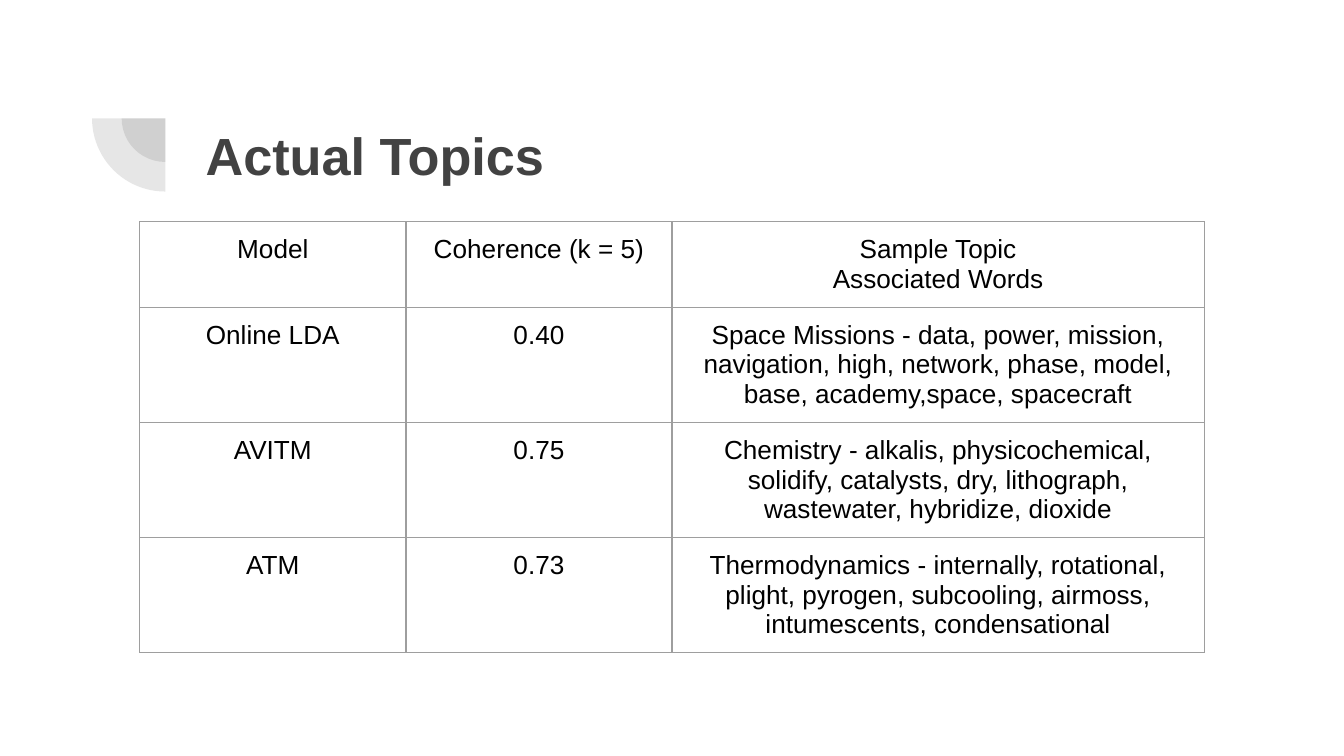
from dataclasses import dataclass

from lxml import etree
from pptx import Presentation
from pptx.dml.color import RGBColor
from pptx.enum.shapes import MSO_SHAPE
from pptx.enum.text import MSO_ANCHOR, PP_ALIGN
from pptx.oxml.ns import qn
from pptx.util import Inches, Pt

PIE = MSO_SHAPE.PIE
TOP = MSO_ANCHOR.TOP
LEFT, CENTER = PP_ALIGN.LEFT, PP_ALIGN.CENTER

SLIDE_W = Inches(10)
SLIDE_H = SLIDE_W * 9 // 16
TITLE_ONLY = 5
INSET = Inches(0.1)
MARGINS = {side: INSET for side in
           ("margin_left", "margin_right", "margin_top", "margin_bottom")}


@dataclass(frozen=True)
class Theme:
    font: str = "Arial"
    ink: str = "424242"
    body: str = "000000"
    border: str = "9E9E9E"
    border_pt: float = 0.75
    title_pt: int = 28
    body_pt: int = 14
    quadrant_alpha: int = 13


@dataclass(frozen=True)
class Quadrant:
    """Quarter disc, with centre and diameter in inches."""
    center_x: float
    center_y: float
    diameter: float


@dataclass(frozen=True)
class TopicRow:
    model: str
    coherence: str
    words: str


@dataclass(frozen=True)
class TableGrid:
    """Table place in inches; the last field spans two columns."""
    left: float = 1.04
    top: float = 1.65
    column: float = 1.98
    row: float = 0.42
    columns: int = 4


THEME = Theme()
GRID = TableGrid()
QUADRANTS = [Quadrant(1.23, 0.88, 0.65), Quadrant(1.23, 0.88, 1.09)]
TOPICS = [
    TopicRow("Model", "Coherence (k = 5)", "Sample Topic\nAssociated Words"),
    TopicRow("Online LDA", "0.40",
             "Space Missions - data, power, mission, navigation, high, network, "
             "phase, model, base, academy,space, spacecraft"),
    TopicRow("AVITM", "0.75",
             "Chemistry - alkalis, physicochemical, solidify, catalysts, dry, "
             "lithograph, wastewater, hybridize, dioxide"),
    TopicRow("ATM", "0.73",
             "Thermodynamics - internally, rotational, plight, pyrogen, "
             "subcooling, airmoss, intumescents, condensational"),
]


def apply(target, values: dict) -> None:
    for name, value in values.items():
        setattr(target, name, value)


def format_text(frame, size: int, color: str, bold: bool, align) -> None:
    for paragraph in frame.paragraphs:
        paragraph.alignment = align
        apply(paragraph.font, {"name": THEME.font, "size": Pt(size), "bold": bold})
        paragraph.font.color.rgb = RGBColor.from_string(color)


def draw_quadrant(slide, quadrant: Quadrant) -> None:
    size = Inches(quadrant.diameter)
    pie = slide.shapes.add_shape(
        PIE, Inches(quadrant.center_x) - size // 2,
        Inches(quadrant.center_y) - size // 2, size, size)
    # Angles count in 60000ths of a degree, scaled down by 100000
    pie.adjustments[0], pie.adjustments[1] = 180 * 0.6, 270 * 0.6
    pie.rotation = 270
    pie.shadow.inherit = False
    pie.line.fill.background()
    pie.fill.solid()
    pie.fill.fore_color.rgb = RGBColor.from_string(THEME.ink)
    color = pie.fill._xPr.find(".//" + qn("a:srgbClr"))
    etree.SubElement(color, qn("a:alpha"), val=str(THEME.quadrant_alpha * 1000))


def draw_borders(cell) -> None:
    properties = cell._tc.get_or_add_tcPr()
    for position, edge in enumerate(("a:lnL", "a:lnR", "a:lnT", "a:lnB")):
        line = etree.Element(qn(edge), w=str(int(Pt(THEME.border_pt))))
        fill = etree.SubElement(line, qn("a:solidFill"))
        etree.SubElement(fill, qn("a:srgbClr"), val=THEME.border)
        properties.insert(position, line)


def draw_title(slide, text: str) -> None:
    title = slide.shapes.title
    apply(title, {"left": Inches(1.43), "top": Inches(0.82),
                  "width": Inches(7.69), "height": Inches(0.62)})
    frame = title.text_frame
    frame.text = text
    apply(frame, {**MARGINS, "vertical_anchor": TOP, "word_wrap": True})
    format_text(frame, THEME.title_pt, THEME.ink, True, LEFT)


def draw_topics(slide, topics: list[TopicRow]) -> None:
    table = slide.shapes.add_table(
        len(topics), GRID.columns, Inches(GRID.left), Inches(GRID.top),
        Inches(GRID.column * GRID.columns), Inches(GRID.row * len(topics))).table
    apply(table, {"first_row": False, "horz_banding": False})
    for row, topic in enumerate(topics):
        table.cell(row, 2).merge(table.cell(row, 3))
        fields = (topic.model, topic.coherence, topic.words)
        for column, text in enumerate(fields):
            cell = table.cell(row, column)
            cell.text = text
            apply(cell, {**MARGINS, "vertical_anchor": TOP})
            format_text(cell.text_frame, THEME.body_pt, THEME.body, False, CENTER)
        for column in range(GRID.columns):
            cell = table.cell(row, column)
            cell.fill.background()
            draw_borders(cell)


def main() -> None:
    deck = Presentation()
    apply(deck, {"slide_width": SLIDE_W, "slide_height": SLIDE_H})
    slide = deck.slides.add_slide(deck.slide_layouts[TITLE_ONLY])

    # Corner ornament
    for quadrant in QUADRANTS:
        draw_quadrant(slide, quadrant)

    # Heading and comparison of topic models
    draw_title(slide, "Actual Topics")
    draw_topics(slide, TOPICS)
    deck.save("out.pptx")


if __name__ == "__main__":
    main()
